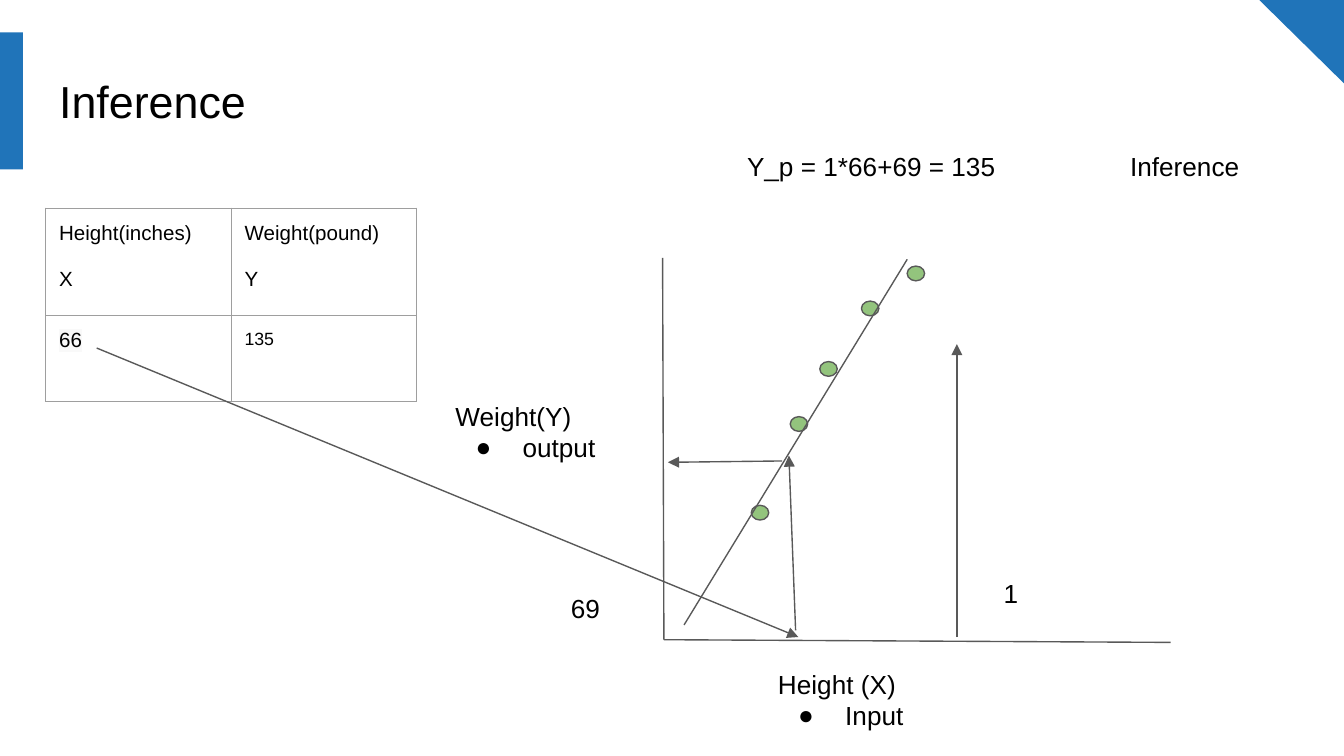
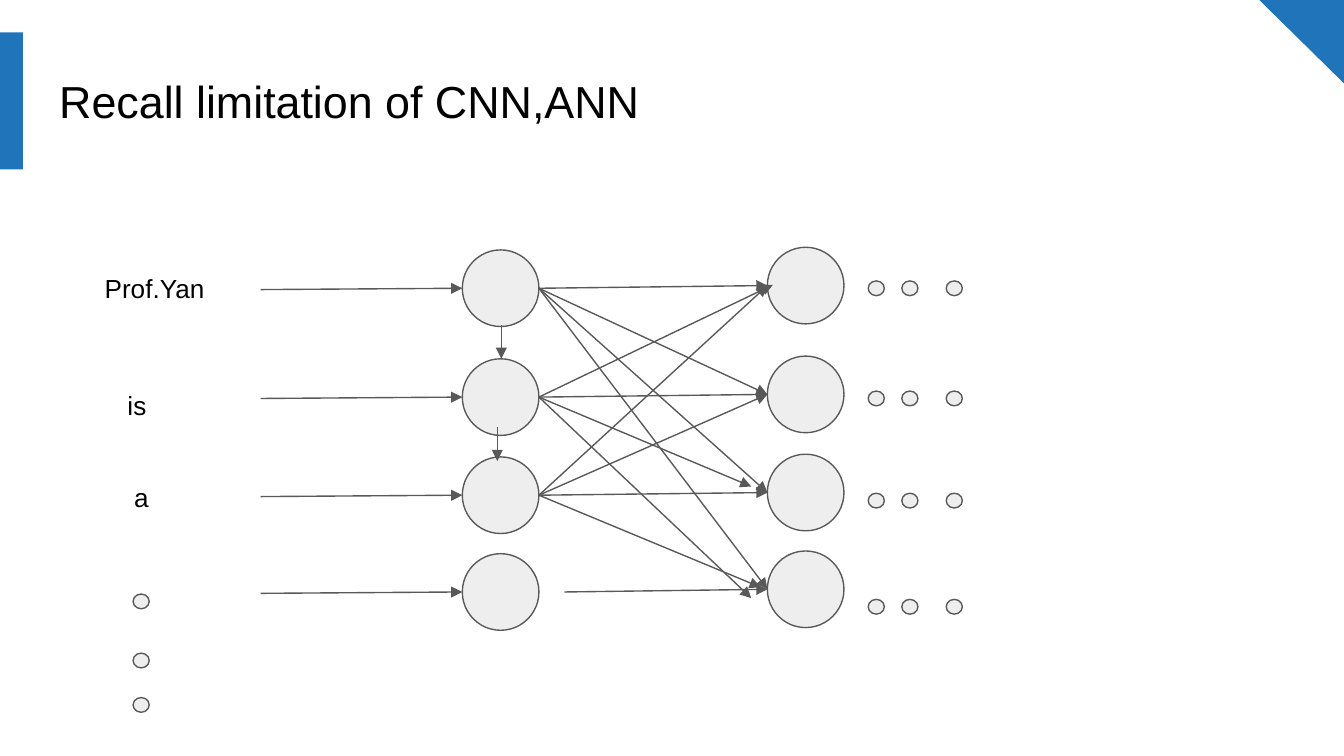
from lxml.etree import SubElement
from pptx import Presentation
from pptx.dml.color import RGBColor
from pptx.enum.shapes import MSO_CONNECTOR, MSO_SHAPE
from pptx.enum.text import MSO_ANCHOR, MSO_AUTO_SIZE, PP_ALIGN
from pptx.oxml.ns import qn
from pptx.util import Inches, Pt

COLORS = {
    "accent": "2074B9",
    "text": "000000",
    "line": "595959",
    "border": "9E9E9E",
    "point": "93C47D",
    "node": "EEEEEE",
    "highlight": "F9F9F9",
}
FONT = "Arial"
LINE_WIDTH = Pt(0.75)
INSET = Inches(0.1)


def rgb(name):
    return RGBColor.from_string(COLORS[name])


def add_color(parent, tag, name):
    """Add a colour element such as a:buClr or a:highlight."""
    el = SubElement(parent, qn(tag))
    SubElement(el, qn("a:srgbClr"), val=COLORS[name])
    return el


def add_run(p, text, size):
    r = p.add_run()
    r.text = text
    r.font.size = Pt(size)
    r.font.name = FONT
    r.font.color.rgb = rgb("text")
    return r


def set_insets(obj):
    obj.margin_left = obj.margin_right = INSET
    obj.margin_top = obj.margin_bottom = INSET


def add_preset(slide, kind, x, y, w, h, fill, outlined=True):
    sp = slide.shapes.add_shape(kind, Inches(x), Inches(y), Inches(w), Inches(h))
    sp.shadow.inherit = False
    sp.fill.solid()
    sp.fill.fore_color.rgb = rgb(fill)
    if outlined:
        sp.line.color.rgb = rgb("line")
        sp.line.width = LINE_WIDTH
    else:
        sp.line.fill.background()
    return sp


def add_oval(slide, x, y, w, h, fill):
    return add_preset(slide, MSO_SHAPE.OVAL, x, y, w, h, fill)


def add_line(slide, start, end, arrow=True):
    c = slide.shapes.add_connector(
        MSO_CONNECTOR.STRAIGHT, *(Inches(v) for v in (*start, *end)))
    c.line.color.rgb = rgb("line")
    c.line.width = LINE_WIDTH
    sp_pr = c.element.spPr
    if arrow:
        SubElement(sp_pr.find(qn("a:ln")), qn("a:tailEnd"), type="triangle")
    SubElement(sp_pr, qn("a:effectLst"))


def add_bullet(p):
    p_pr = p._p.get_or_add_pPr()
    p_pr.set("marL", str(Inches(0.5)))
    p_pr.set("indent", str(Inches(-0.35)))
    add_color(p_pr, "a:buClr", "text")
    SubElement(p_pr, qn("a:buFont"), typeface=FONT)
    SubElement(p_pr, qn("a:buChar"), char="●")


def add_label(slide, x, y, w, text, bullet=None):
    h = 0.67 if bullet else 0.44
    box = slide.shapes.add_textbox(Inches(x), Inches(y), Inches(w), Inches(h))
    tf = box.text_frame
    tf.word_wrap = True
    tf.auto_size = MSO_AUTO_SIZE.SHAPE_TO_FIT_TEXT
    set_insets(tf)
    add_run(tf.paragraphs[0], text, 14)
    if bullet:
        p = tf.add_paragraph()
        add_bullet(p)
        add_run(p, bullet, 14)


def format_cell(cell):
    set_insets(cell)
    tc_pr = cell._tc.get_or_add_tcPr()
    for side in ("a:lnL", "a:lnR", "a:lnT", "a:lnB"):
        ln = SubElement(tc_pr, qn(side), w=str(LINE_WIDTH))
        add_color(ln, "a:solidFill", "border")
    cell.fill.background()


def add_data_table(slide, x, y, col_widths, row_heights, rows):
    """Each cell is a list of (text, size) paragraphs."""
    frame = slide.shapes.add_table(
        len(rows), len(col_widths), Inches(x), Inches(y),
        Inches(sum(col_widths)), Inches(sum(row_heights)))
    table = frame.table
    table.first_row = table.horz_banding = False
    for col, w in zip(table.columns, col_widths):
        col.width = Inches(w)
    for row, h, contents in zip(table.rows, row_heights, rows):
        row.height = Inches(h)
        for cell, paragraphs in zip(row.cells, contents):
            format_cell(cell)
            tf = cell.text_frame
            for i, (text, size) in enumerate(paragraphs):
                p = tf.add_paragraph() if i else tf.paragraphs[0]
                if i:
                    p.space_before = Pt(12.5)
                add_run(p, text, size)
    return table


def highlight(r):
    r_pr = r.font._element
    el = add_color(r_pr, "a:highlight", "highlight")
    r_pr.find(qn("a:solidFill")).addnext(el)


def add_titled_slide(prs, title):
    slide = prs.slides.add_slide(prs.slide_layouts[5])
    # Side band and corner
    add_preset(slide, MSO_SHAPE.RECTANGLE, 0, 0.24, 0.17, 1.02, "accent", False)
    corner = add_preset(slide, MSO_SHAPE.RIGHT_TRIANGLE,
                        9.37, 0, 0.64, 0.63, "accent", False)
    corner.rotation = 180
    # Title
    sp = slide.shapes.title
    sp.left, sp.top = Inches(0.34), Inches(0.24)
    sp.width, sp.height = Inches(9.32), Inches(1.02)
    tf = sp.text_frame
    tf.word_wrap = True
    tf.auto_size = MSO_AUTO_SIZE.NONE
    tf.vertical_anchor = MSO_ANCHOR.MIDDLE
    set_insets(tf)
    p = tf.paragraphs[0]
    p.alignment = PP_ALIGN.LEFT
    add_run(p, title, 24)
    return slide


def build_inference(prs):
    slide = add_titled_slide(prs, "Inference")

    # Height and weight table
    table = add_data_table(
        slide, 0.34, 1.55, (1.38, 1.38), (0.8, 0.64),
        [[[("Height(inches)", 11), ("X", 11)], [("Weight(pound)", 11), ("Y", 11)]],
         [[("66", 11)], [("135", 9.5)]]])
    highlight(table.cell(1, 0).text_frame.paragraphs[0].runs[0])

    # Axes
    origin = (4.94, 4.76)
    add_line(slide, (4.93, 1.92), origin, arrow=False)
    add_line(slide, origin, (8.71, 4.78), arrow=False)

    # Labels
    add_label(slide, 5.46, 1.02, 2.62, "Y_p = 1*66+69 = 135")
    add_label(slide, 8.31, 1.02, 1.62, "Inference")
    add_label(slide, 4.15, 4.31, 0.7, "69")
    add_label(slide, 7.37, 4.2, 0.56, "1")
    add_label(slide, 5.69, 4.87, 2.01, "Height (X)", "Input")
    add_label(slide, 3.29, 2.88, 1.48, "Weight(Y)", "output")

    # Data points and fitted line
    for x, y in ((5.59, 3.76), (5.88, 3.1), (6.1, 2.69), (6.41, 2.24), (6.75, 1.98)):
        add_oval(slide, x, y, 0.13, 0.11, "point")
    add_line(slide, (5.09, 4.65), (6.75, 1.93), arrow=False)

    # Slope arrow, then the path from input to prediction
    for start, end in (((7.12, 4.74), (7.12, 2.56)),
                       ((0.72, 2.59), (5.94, 4.74)),
                       ((5.92, 4.69), (5.87, 3.39)),
                       ((5.82, 3.43), (4.97, 3.44))):
        add_line(slide, start, end)


def build_network(prs):
    slide = add_titled_slide(prs, "Recall limitation of CNN,ANN")
    size = 0.57
    in_x, out_x = 3.44, 5.71
    in_right = in_x + size
    in_tops = (1.86, 2.67, 3.4, 4.12)
    in_mids = [top + size / 2 for top in in_tops]
    out_mids = [mid - 0.02 for mid in in_mids]

    # Two layers of nodes with their input arrows
    for top, mid in zip(in_tops, in_mids):
        add_oval(slide, in_x, top, size, size, "node")
        add_oval(slide, out_x, top - 0.02, size, size, "node")
        add_line(slide, (1.94, mid + 0.01), (in_x, mid))

    # Links between layers; some stop at a point of their own
    loose_ends = {(1, 0): (5.75, 2.12), (1, 2): (5.59, 3.62),
                  (1, 3): (5.59, 4.45), (2, 3): (5.66, 4.37)}
    for i, start_y in enumerate(in_mids[:3]):
        for j, end_y in enumerate(out_mids):
            end = loose_ends.get((i, j), (out_x, end_y))
            add_line(slide, (in_right, start_y), end)
    add_line(slide, (4.2, in_mids[3]), (out_x, out_mids[3]))

    # Links down the first layer
    for x, y in ((3.73, 2.42), (3.7, 3.18)):
        add_line(slide, (x, y), (x, y + 0.25))

    # Words and continuation dots
    add_label(slide, 0.68, 1.93, 0.95, "Prof.Yan")
    add_label(slide, 0.85, 2.8, 0.52, "is")
    add_label(slide, 0.9, 3.48, 0.52, "a")
    dots = [(x, y) for y in (2.09, 2.91, 3.67, 4.46) for x in (6.46, 6.71, 7.04)]
    dots += [(0.99, y) for y in (4.42, 4.86, 5.19)]
    for x, y in dots:
        add_oval(slide, x, y, 0.12, 0.11, "node")


def main():
    prs = Presentation()
    # Widescreen, 16:9
    prs.slide_width = Inches(10)
    prs.slide_height = Inches(10 * 9 / 16)
    build_inference(prs)
    build_network(prs)
    prs.save("out.pptx")


if __name__ == "__main__":
    main()
